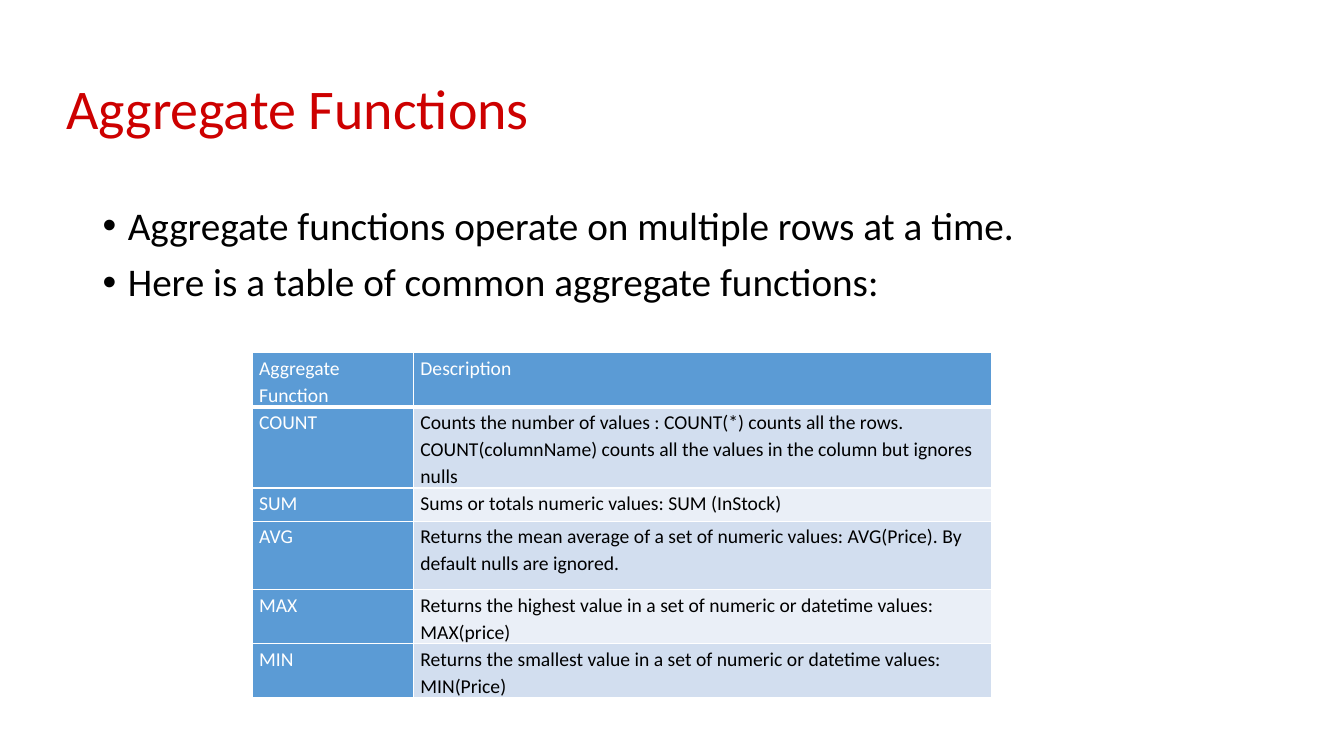
import pptx
import pptx.util
import pptx.dml.color
import pptx.enum.text
import pptx.oxml
import pptx.oxml.ns
import lxml.etree
from dataclasses import dataclass

Inches, Pt = pptx.util.Inches, pptx.util.Pt
qn = pptx.oxml.ns.qn


@dataclass(frozen=True)
class Theme:
    """Fonts, colours and type sizes."""
    font: str = "Calibri"
    red: str = "CD0000"
    black: str = "000000"
    white: str = "FFFFFF"
    blue: str = "5B9BD5"
    bands: tuple = ("D2DEEF", "EAEFF7")
    head: int = 40
    body: int = 28
    small: int = 14


def color(code):
    """Turn a hex code into a colour."""
    return pptx.dml.color.RGBColor.from_string(code)


def write(frame, *lines, font, size, ink, space=1.0, before=0, bullet=None):
    """Fill a text frame with one formatted paragraph per line."""
    frame.word_wrap = True
    for i, line in enumerate(lines):
        para = frame.add_paragraph() if i else frame.paragraphs[0]
        para.line_spacing = space
        para.space_before = Pt(before)
        para.alignment = pptx.enum.text.PP_ALIGN.LEFT
        if bullet:
            props = para._p.get_or_add_pPr()
            props.set("marL", str(Inches(0.25)))
            props.set("indent", str(-Inches(0.25)))
            mark = lxml.etree.SubElement(props, qn("a:buFont"))
            mark.set("typeface", "Arial")
            mark = lxml.etree.SubElement(props, qn("a:buChar"))
            mark.set("char", bullet)
        run = para.add_run()
        run.text = line
        run.font.name = font
        run.font.size = Pt(size)
        run.font.bold = False
        run.font.color.rgb = color(ink)


def edge(cell, widths, ink):
    """Draw the cell borders; widths maps a side to points."""
    props = cell._tc.get_or_add_tcPr()
    for i, (side, width) in enumerate(widths.items()):
        line = pptx.oxml.parse_xml(
            f'<a:ln{side} xmlns:a="http://schemas.openxmlformats.org/'
            f'drawingml/2006/main" w="{Pt(width)}"><a:solidFill>'
            f'<a:srgbClr val="{ink}"/></a:solidFill></a:ln{side}>')
        props.insert(i, line)


class Deck:
    """Holds the theme and the current slide."""

    def __init__(self, show, theme):
        """Add a title-only slide."""
        self.theme = theme
        self.slide = show.slides.add_slide(show.slide_layouts[5])

    def title(self, text, left, top, width, height):
        """Place and format the title."""
        shape = self.slide.shapes.title
        shape.left, shape.top = Inches(left), Inches(top)
        shape.width, shape.height = Inches(width), Inches(height)
        frame = shape.text_frame
        frame.vertical_anchor = pptx.enum.text.MSO_ANCHOR.MIDDLE
        write(frame, text, font=self.theme.font, size=self.theme.head,
              ink=self.theme.red, space=0.9)

    def points(self, lines, left, top, width, height):
        """Add a bulleted list."""
        box = self.slide.shapes.add_textbox(
            Inches(left), Inches(top), Inches(width), Inches(height))
        write(box.text_frame, *lines, font=self.theme.font,
              size=self.theme.body, ink=self.theme.black,
              space=0.9, before=10, bullet="\u2022")

    def table(self, rows, left, top, widths, heights):
        """Add a table with a blue head row and first column."""
        theme = self.theme
        grid = self.slide.shapes.add_table(
            len(rows), len(widths), Inches(left), Inches(top),
            Inches(sum(widths)), Inches(sum(heights))).table
        for col, width in zip(grid.columns, widths):
            col.width = Inches(width)
        for r, (row, height) in enumerate(zip(rows, heights)):
            grid.rows[r].height = Inches(height)
            for c, text in enumerate(row):
                cell = grid.cell(r, c)
                key = r == 0 or c == 0
                cell.margin_left = cell.margin_right = Inches(0.07)
                cell.margin_top = cell.margin_bottom = 0
                cell.fill.solid()
                cell.fill.fore_color.rgb = color(
                    theme.blue if key else theme.bands[(r - 1) % 2])
                edge(cell, {"L": 1, "R": 1, "T": 1, "B": 1 if r else 3},
                     theme.white)
                write(cell.text_frame, text, font=theme.font,
                      size=theme.small, space=1.15,
                      ink=theme.white if key else theme.black)


ROWS = [
    ("Aggregate Function", "Description"),
    ("COUNT", "Counts the number of values : COUNT(*) counts all the rows. "
     "COUNT(columnName) counts all the values in the column but ignores "
     "nulls"),
    ("SUM", "Sums or totals numeric values: SUM (InStock)"),
    ("AVG", "Returns the mean average of a set of numeric values: "
     "AVG(Price). By default nulls are ignored. "),
    ("MAX", "Returns the highest value in a set of numeric or datetime "
     "values: MAX(price)"),
    ("MIN", "Returns the smallest value in a set of numeric or datetime "
     "values: MIN(Price)"),
]

show = pptx.Presentation()
show.slide_width, show.slide_height = Inches(13.33), Inches(7.5)
deck = Deck(show, Theme())
deck.title("Aggregate Functions", 0.56, 0.38, 11.5, 1.45)
deck.points(["Aggregate functions operate on multiple rows at a time.",
             "Here is a table of common aggregate functions:"],
            0.92, 2, 11.5, 4.76)
deck.table(ROWS, 2.5, 3.5, (1.6, 5.73), (0.33, 0.68, 0.33, 0.68, 0.33, 0.33))
show.save("out.pptx")
